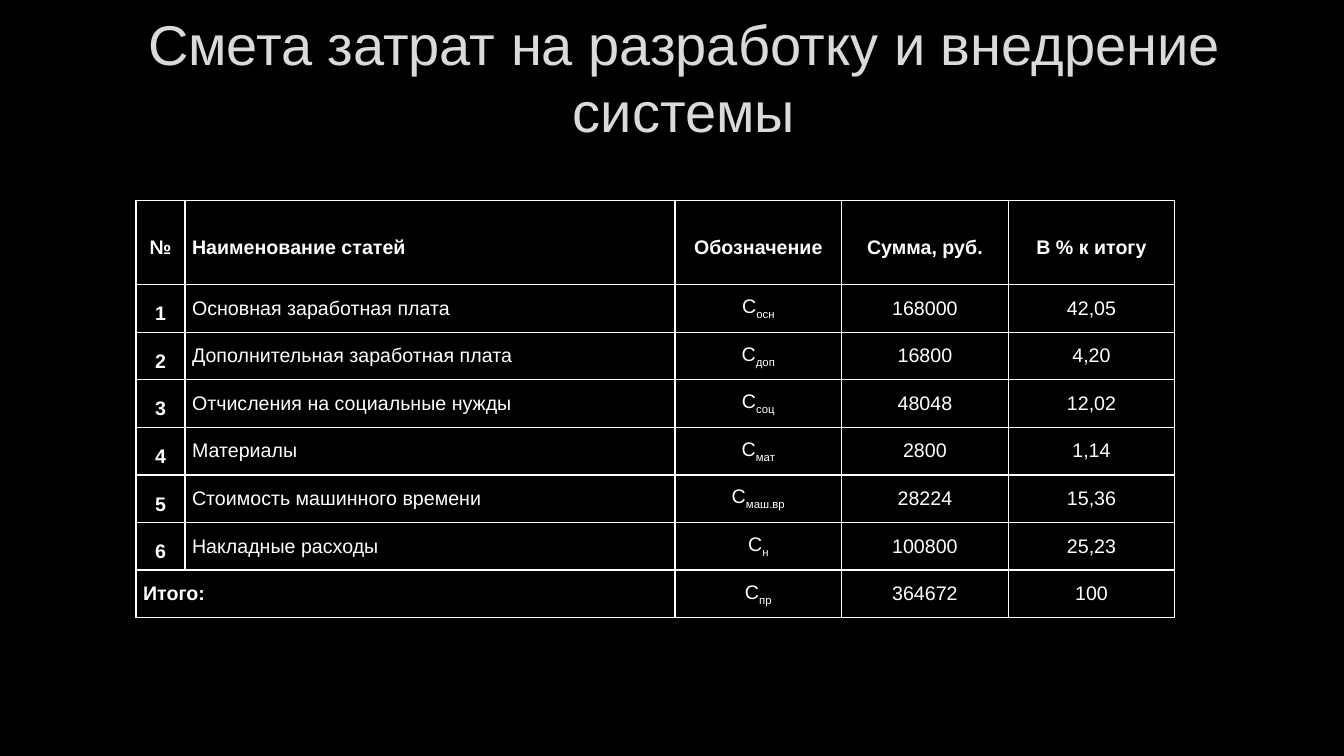
from dataclasses import dataclass

from pptx import Presentation
from pptx.dml.color import RGBColor
from pptx.enum.text import MSO_ANCHOR, MSO_AUTO_SIZE, PP_ALIGN
from pptx.oxml import parse_xml
from pptx.oxml.ns import nsdecls
from pptx.util import Pt

# Content
TITLE = "Смета затрат на разработку и внедрение системы"
HEADER = ("№", "Наименование статей", "Обозначение", "Сумма, руб.", "В % к итогу")
COST_SYMBOL = "С"
COSTS = [
    ("Основная заработная плата", "осн", "168000", "42,05"),
    ("Дополнительная заработная плата", "доп", "16800", "4,20"),
    ("Отчисления на социальные нужды", "соц", "48048", "12,02"),
    ("Материалы", "мат", "2800", "1,14"),
    ("Стоимость машинного времени", "маш.вр", "28224", "15,36"),
    ("Накладные расходы", "н", "100800", "25,23"),
]
TOTAL = ("Итого:", "пр", "364672", "100")


@dataclass(frozen=True)
class Theme:
    font: str = "Arial"
    background: str = "000000"
    title: str = "DADADA"
    title_outline: str = "404040"
    text: str = "FFFFFF"
    border: str = "FFFFFF"
    title_size: int = 40
    table_size: int = 14


THEME = Theme()

# Layout, in points
PAGE_SIZE = (960, 540)
TITLE_BOX = (97.2, 0.7, 782.6, 108)
TABLE_LEFT, TABLE_TOP = 97.2, 143.3
COLUMN_WIDTHS = (35, 350, 119, 119, 119)
HEADER_HEIGHT, ROW_HEIGHT = 60, 34
CELL_MARGIN = 5


def line_xml(tag, width, color, alpha=100):
    return parse_xml(
        f'<a:{tag} {nsdecls("a")} w="{Pt(width)}"><a:solidFill><a:srgbClr val="{color}">'
        f'<a:alpha val="{alpha * 1000}"/></a:srgbClr></a:solidFill></a:{tag}>'
    )


def style_span(span, size, color, bold=False):
    span.font.name = THEME.font
    span.font.size = Pt(size)
    span.font.bold = bold
    span.font.color.rgb = RGBColor.from_string(color)


def fill_cell(cell, text, subscript="", bold=False, centred=True, spaced=False):
    cell.vertical_anchor = MSO_ANCHOR.MIDDLE
    cell.margin_left = cell.margin_right = Pt(CELL_MARGIN)
    cell.margin_top = cell.margin_bottom = 0
    para = cell.text_frame.paragraphs[0]
    para.alignment = PP_ALIGN.CENTER if centred else PP_ALIGN.LEFT
    if spaced:
        para.line_spacing = 1.5
        para.space_after = Pt(6)
    para.text = text
    if subscript:
        span = para.add_run()
        span.text = subscript
        span.font._element.set("baseline", "-25000")
    for span in para.runs:
        style_span(span, THEME.table_size, THEME.text, bold)


def fill_amounts(row, subscript, amount, share):
    fill_cell(row.cells[2], COST_SYMBOL, subscript)
    fill_cell(row.cells[3], amount)
    fill_cell(row.cells[4], share)


def add_title(page):
    title = page.shapes.title
    title.left, title.top, title.width, title.height = map(Pt, TITLE_BOX)
    frame = title.text_frame
    frame.text = TITLE
    frame.word_wrap = True
    frame.auto_size = MSO_AUTO_SIZE.NONE
    frame.vertical_anchor = MSO_ANCHOR.MIDDLE
    para = frame.paragraphs[0]
    para.alignment = PP_ALIGN.CENTER
    span = para.runs[0]
    style_span(span, THEME.title_size, THEME.title)
    span.font._element.insert(0, line_xml("ln", 0.75, THEME.title_outline, 10))


def add_cost_table(page):
    row_count = len(COSTS) + 2
    height = HEADER_HEIGHT + ROW_HEIGHT * (row_count - 1)
    table = page.shapes.add_table(
        row_count, len(HEADER), Pt(TABLE_LEFT), Pt(TABLE_TOP),
        Pt(sum(COLUMN_WIDTHS)), Pt(height),
    ).table
    table.first_row = table.horz_banding = False
    for column, width in zip(table.columns, COLUMN_WIDTHS):
        column.width = Pt(width)
    for index, row in enumerate(table.rows):
        row.height = Pt(ROW_HEIGHT if index else HEADER_HEIGHT)

    # Plain cells with a full grid
    for cell in table.iter_cells():
        cell.fill.background()
        properties = cell._tc.get_or_add_tcPr()
        for position, side in enumerate(("lnL", "lnR", "lnT", "lnB")):
            properties.insert(position, line_xml(side, 1, THEME.border))

    # Header row
    for index, heading in enumerate(HEADER):
        fill_cell(table.cell(0, index), heading, bold=True, centred=index != 1, spaced=True)

    # Numbered costs
    for number, (name, *amounts) in enumerate(COSTS, start=1):
        row = table.rows[number]
        fill_cell(row.cells[0], str(number), bold=True, spaced=True)
        fill_cell(row.cells[1], name, centred=False)
        fill_amounts(row, *amounts)

    # Total row
    label, *amounts = TOTAL
    last = row_count - 1
    table.cell(last, 0).merge(table.cell(last, 1))
    fill_cell(table.cell(last, 0), label, bold=True, centred=False)
    fill_amounts(table.rows[last], *amounts)


def main():
    deck = Presentation()
    deck.slide_width, deck.slide_height = map(Pt, PAGE_SIZE)
    page = deck.slides.add_slide(deck.slide_layouts[5])
    page.background.fill.solid()
    page.background.fill.fore_color.rgb = RGBColor.from_string(THEME.background)
    add_title(page)
    add_cost_table(page)
    deck.save("out.pptx")


if __name__ == "__main__":
    main()
